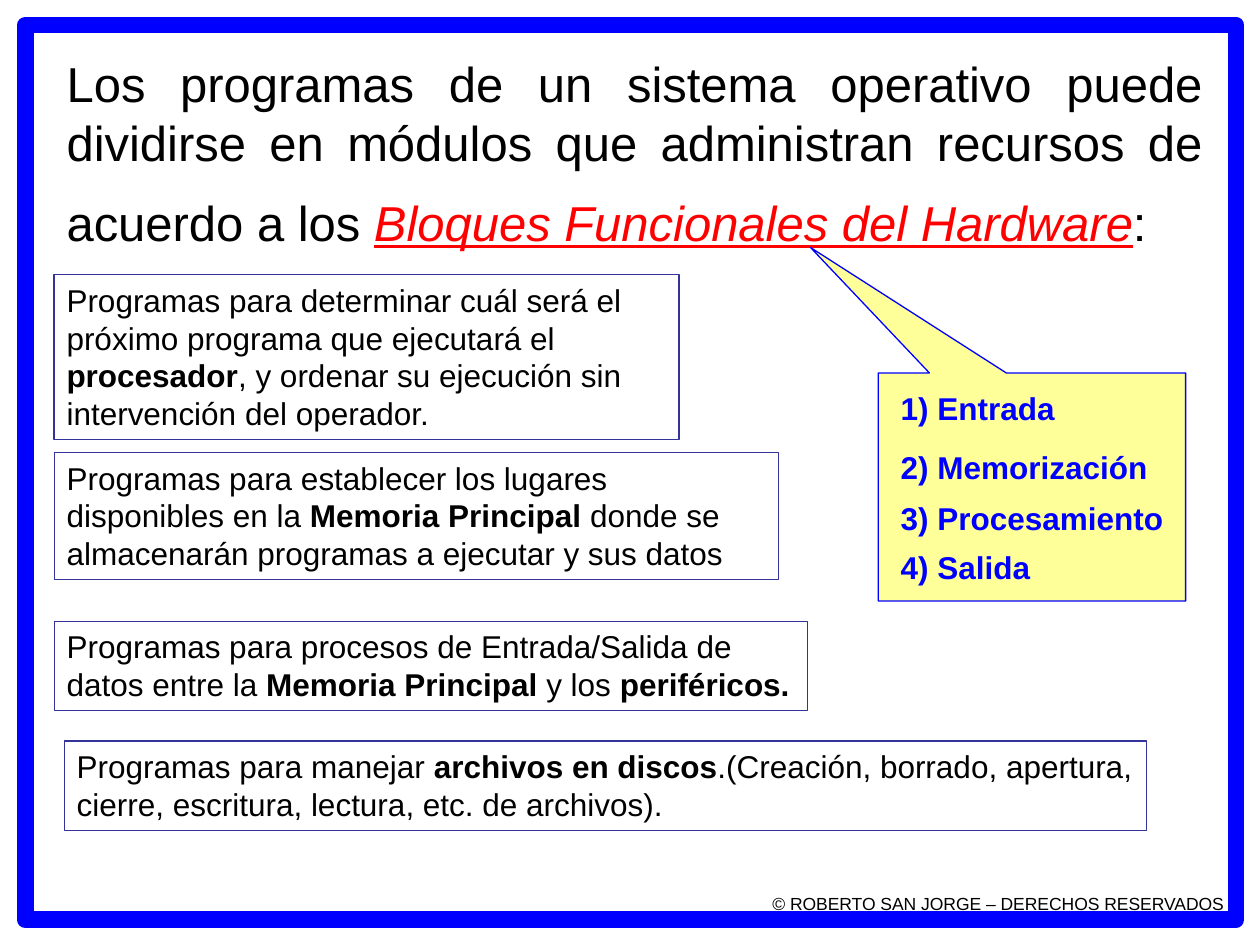
from pptx import Presentation
from pptx.dml.color import RGBColor
from pptx.enum.shapes import MSO_SHAPE
from pptx.enum.text import MSO_ANCHOR, MSO_AUTO_SIZE, PP_ALIGN
from pptx.util import Inches, Pt

RECT = MSO_SHAPE.RECTANGLE
CALLOUT = MSO_SHAPE.RECTANGULAR_CALLOUT
TOP, MIDDLE, BOTTOM = MSO_ANCHOR.TOP, MSO_ANCHOR.MIDDLE, MSO_ANCHOR.BOTTOM
LEFT, RIGHT, JUSTIFY = PP_ALIGN.LEFT, PP_ALIGN.RIGHT, PP_ALIGN.JUSTIFY
GROW = MSO_AUTO_SIZE.SHAPE_TO_FIT_TEXT

FONT = "Arial"
BLACK, BLUE, NAVY = "000000", "0000FF", "333399"
RED, YELLOW, WHITE = "FF0000", "FFFF99", "FFFFFF"

# Grid of 100 columns by 75 rows
WIDE, HIGH = Inches(10), Inches(7.5)
COL, ROW = WIDE / 100, HIGH / 75


def color(code):
    return RGBColor.from_string(code)


def place(box):
    x, y, w, h = box
    return round(x * COL), round(y * ROW), round(w * COL), round(h * ROW)


def add_box(slide, kind, box, line, width, fill=None):
    shape = slide.shapes.add_shape(kind, *place(box))
    shape.shadow.inherit = False
    shape.line.color.rgb = color(line)
    shape.line.width = Pt(width)
    if fill:
        shape.fill.solid()
        shape.fill.fore_color.rgb = color(fill)
    else:
        shape.fill.background()
    return shape


def write(shape, runs, align=LEFT, anchor=TOP, grow=False):
    """Each run is (text, size, color, bold, accent)."""
    frame = shape.text_frame
    frame.word_wrap = True
    frame.vertical_anchor = anchor
    if grow:
        frame.auto_size = GROW
    para = frame.paragraphs[0]
    para.alignment = align
    for text, size, ink, bold, accent in runs:
        run = para.add_run()
        run.text = text
        font = run.font
        font.name, font.size, font.bold = FONT, Pt(size), bold
        font.italic = font.underline = accent
        font.color.rgb = color(ink)


def add_frame(slide, box):
    # Thick border with the rights line in its lower right corner
    shape = add_box(slide, RECT, box, BLUE, 9.5)
    rights = "© ROBERTO SAN JORGE – DERECHOS RESERVADOS"
    write(shape, [(rights, 10, BLACK, False, False)], RIGHT, BOTTOM)


def add_title(slide, box):
    shape = slide.shapes.add_textbox(*place(box))
    # The taller closing space opens up the last line
    write(shape, [
        ("Los programas de un sistema operativo puede dividirse en módulos "
         "que administran recursos de acuerdo a los ", 28, BLACK, False, False),
        ("Bloques Funcionales del Hardware", 28, RED, False, True),
        (":", 28, BLACK, False, False),
        (" ", 40, BLACK, False, False),
    ], JUSTIFY, MIDDLE)


def add_callout(slide, box, items):
    x, y, w, h = box
    shape = add_box(slide, CALLOUT, box, BLUE, 0.75, YELLOW)
    shape.adjustments[0], shape.adjustments[1] = -0.72, -1.05
    # Rows of the list, measured from the top of the callout
    for text, down in items:
        label = slide.shapes.add_textbox(
            *place((x + 0.8, y + down, w - 0.8, 4)))
        write(label, [(text, 18, BLUE, True, False)], grow=True)


def add_notes(slide, notes):
    # Outlined boxes; every second piece of text is bold
    for box, parts in notes:
        shape = add_box(slide, RECT, box, NAVY, 0.75)
        write(shape, [(text, 18, BLACK, i % 2 == 1, False)
                      for i, text in enumerate(parts)], grow=True)


STEPS = [("1) Entrada", 0.8), ("2) Memorización", 5.5),
         ("3) Procesamiento", 9.5), ("4) Salida", 13.4)]

NOTES = [
    ((4.3, 21.8, 49.6, 13.1),
     ["Programas para determinar cuál será el próximo programa que ejecutará el ",
      "procesador",
      ", y ordenar su ejecución sin intervención del operador."]),
    ((4.3, 35.9, 57.5, 10.1),
     ["Programas para establecer los lugares disponibles en la ",
      "Memoria Principal",
      " donde se almacenarán programas a ejecutar y sus datos"]),
    ((4.3, 49.3, 59.8, 7.1),
     ["Programas para procesos de Entrada/Salida de datos entre la ",
      "Memoria Principal", " y los ", "periféricos."]),
    ((5.1, 58.8, 85.9, 7.1),
     ["Programas para manejar ", "archivos en discos",
      ".(Creación, borrado, apertura, cierre, escritura, lectura, etc. "
      "de archivos)."]),
]


def main():
    deck = Presentation()
    deck.slide_width, deck.slide_height = WIDE, HIGH
    slide = deck.slides.add_slide(deck.slide_layouts[6])
    slide.background.fill.solid()
    slide.background.fill.fore_color.rgb = color(WHITE)

    add_frame(slide, (2, 2, 96.1, 71))
    add_title(slide, (4.3, 4.4, 92.1, 15.7))
    add_callout(slide, (69.7, 29.6, 24.4, 18.1), STEPS)
    add_notes(slide, NOTES)
    deck.save("out.pptx")


if __name__ == "__main__":
    main()
